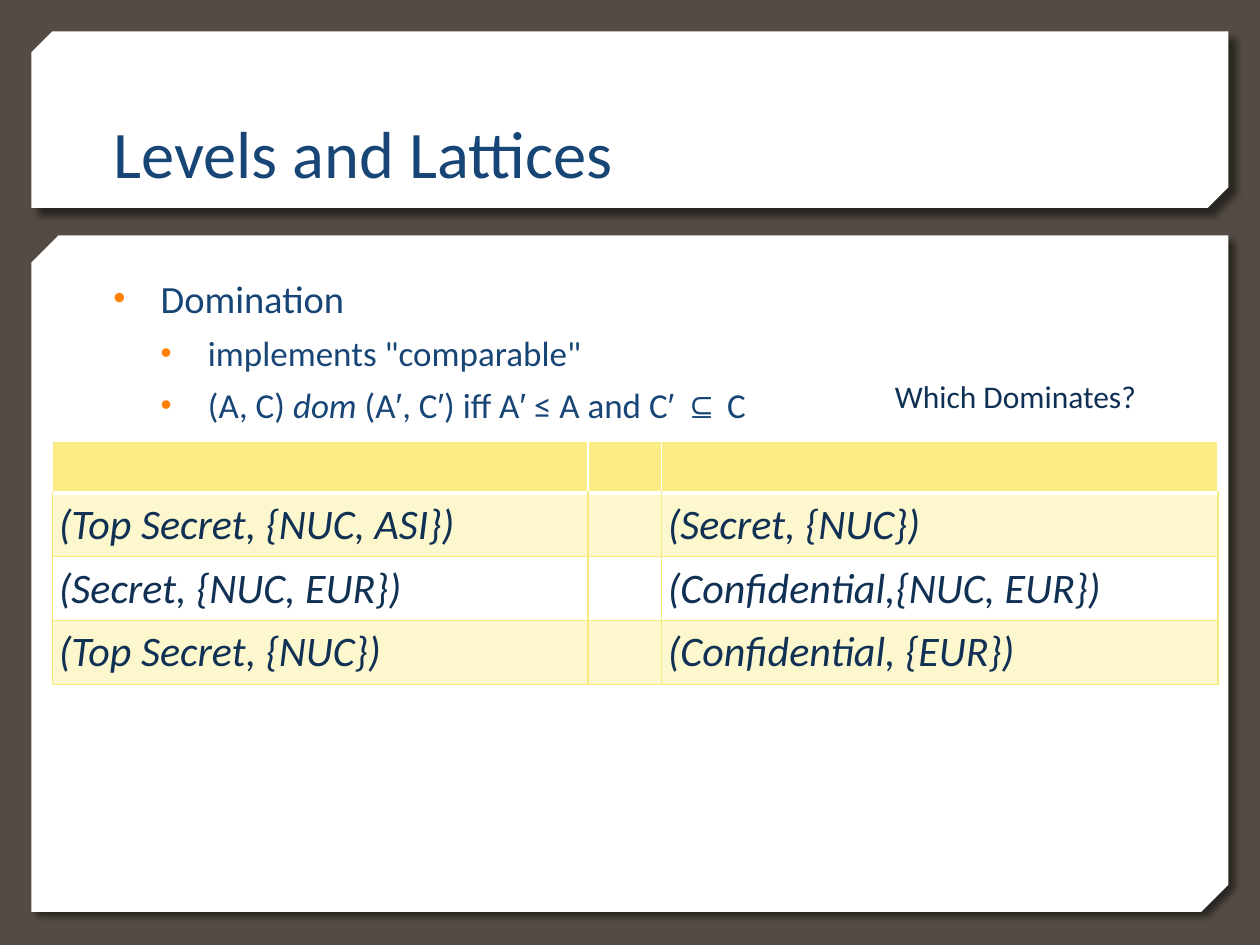
from dataclasses import dataclass
from typing import Any

from lxml import etree
from pptx import Presentation
from pptx.dml.color import RGBColor
from pptx.enum.shapes import MSO_SHAPE
from pptx.enum.text import MSO_ANCHOR, PP_ALIGN
from pptx.oxml.ns import qn
from pptx.util import Pt

SNIPPED = MSO_SHAPE.SNIP_2_DIAG_RECTANGLE
TOP, BOTTOM = MSO_ANCHOR.TOP, MSO_ANCHOR.BOTTOM
LEFT, CENTER = PP_ALIGN.LEFT, PP_ALIGN.CENTER

COLORS = {
    "background": "544C44",
    "panel": "FFFFFF",
    "heading": "174576",
    "text": "103154",
    "bullet": "FF7F01",
    "header": "FBEC85",
    "border": "F8E97F",
    "shadow": "000000",
}


def rgb(name):
    return RGBColor.from_string(COLORS[name])


def child(parent, tag, **attrs):
    return etree.SubElement(parent, qn(tag), {k: str(v) for k, v in attrs.items()})


def write(p, text, size=20, color="heading", font="Calibri", italic=False):
    r = p.add_run()
    r.text = text
    r.font.size = Pt(size)
    r.font.name = font
    r.font.italic = italic
    r.font.color.rgb = rgb(color)


@dataclass
class Deck:
    slide: Any
    inset: float = 3.6

    def panel(self, x, y, w, h, snip):
        sp = self.slide.shapes.add_shape(SNIPPED, Pt(x), Pt(y), Pt(w), Pt(h))
        sp.adjustments[0] = snip / h
        sp.adjustments[1] = 0
        sp.fill.solid()
        sp.fill.fore_color.rgb = rgb("panel")
        sp.line.fill.background()
        sp.shadow.inherit = False
        effects = sp._element.spPr.find(qn("a:effectLst"))
        shadow = child(effects, "a:outerShdw", blurRad=Pt(4), dist=Pt(5),
                       dir=45 * 60000, algn="tl", rotWithShape=0)
        color = child(shadow, "a:srgbClr", val=COLORS["shadow"])
        child(color, "a:alpha", val=50000)

    def box(self, x, y, w, h, anchor=TOP):
        tf = self.slide.shapes.add_textbox(Pt(x), Pt(y), Pt(w), Pt(h)).text_frame
        tf.word_wrap = True
        tf.vertical_anchor = anchor
        tf.margin_left = tf.margin_right = Pt(self.inset)
        tf.margin_top = tf.margin_bottom = Pt(self.inset)
        return tf

    def label(self, text, x, y, w, h, anchor=TOP, align=LEFT, **fmt):
        p = self.box(x, y, w, h, anchor).paragraphs[0]
        p.alignment = align
        write(p, text, **fmt)

    def bullets(self, items, x, y, w, h):
        tf = self.box(x, y, w, h)
        for i, (level, size, runs) in enumerate(items):
            p = tf.add_paragraph() if i else tf.paragraphs[0]
            p.level = level
            p.space_before = Pt(6 if i else 0)
            pPr = p._p.get_or_add_pPr()
            pPr.set("marL", str(Pt(27 * (level + 1))))
            pPr.set("indent", str(Pt(-27)))
            child(child(pPr, "a:buClr"), "a:srgbClr", val=COLORS["bullet"])
            child(pPr, "a:buSzPct", val=90000)
            child(pPr, "a:buFont", typeface="Arial")
            child(pPr, "a:buChar", char="•")
            for text, fmt in runs:
                write(p, text, size=size, **fmt)

    def border(self, cell, side, width, color):
        ln = child(cell._tc.get_or_add_tcPr(), f"a:ln{side}", w=Pt(width))
        child(child(ln, "a:solidFill"), "a:srgbClr", val=COLORS[color])

    def cell_style(self, cell, row):
        cell.margin_left = cell.margin_right = Pt(self.inset)
        cell.margin_top = cell.margin_bottom = Pt(self.inset)
        if row:
            for side in "LR":
                self.border(cell, side, 0.75, "border")
        if row != 1:
            self.border(cell, "T", 0.75, "border")
        else:
            self.border(cell, "T", 2, "panel")
        if row:
            self.border(cell, "B", 0.75, "border")
        else:
            self.border(cell, "B", 2, "panel")
        if row == 2:
            cell.fill.background()
            return
        cell.fill.solid()
        cell.fill.fore_color.rgb = rgb("header")
        if row:
            color = cell._tc.tcPr.find(f"{qn('a:solidFill')}/{qn('a:srgbClr')}")
            child(color, "a:alpha", val=40000)

    def table(self, rows, x, y, widths, heights):
        frame = self.slide.shapes.add_table(len(rows), len(widths), Pt(x), Pt(y),
                                            Pt(sum(widths)), Pt(sum(heights)))
        tbl = frame.table
        for column, width in zip(tbl.columns, widths):
            column.width = Pt(width)
        for i, (row, height) in enumerate(zip(rows, heights)):
            tbl.rows[i].height = Pt(height)
            for j, text in enumerate(row):
                cell = tbl.cell(i, j)
                self.cell_style(cell, i)
                if text:
                    write(cell.text_frame.paragraphs[0], text, size=24,
                          color="text", italic=True)


def main():
    prs = Presentation()
    prs.slide_width, prs.slide_height = Pt(720), Pt(540)
    s = prs.slides.add_slide(prs.slide_layouts[6])
    s.background.fill.solid()
    s.background.fill.fore_color.rgb = rgb("background")
    deck = Deck(s)

    deck.panel(18, 134.5, 684, 386.5, snip=15.5)
    deck.panel(18, 18, 684, 100.8, snip=11.8)
    deck.label("Levels and Lattices", 61.2, 23, 597, 90, anchor=BOTTOM, size=38)

    prime = ("′", {"font": "Arial"})
    rule = [("(A, C) ", {}), ("dom", {"italic": True}), (" (A", {}), prime,
            (", C", {}), prime, (") iff A", {}), prime, (" ≤ A and C", {}),
            ("′ ⊆", {"font": "Arial"}), (" C", {})]
    deck.bullets([
        (0, 22, [("Domination", {})]),
        (1, 20, [('implements "comparable"', {})]),
        (1, 20, rule),
    ], 61.2, 153.4, 597, 315.4)

    deck.table([
        ("", "", ""),
        ("(Top Secret, {NUC, ASI})", "", "(Secret, {NUC})"),
        ("(Secret, {NUC, EUR})", "", "(Confidential,{NUC, EUR})"),
        ("(Top Secret, {NUC})", "", "(Confidential, {EUR})"),
    ], 30, 252.7, (306, 42, 318), (29, 36.5, 36.5, 36.5))
    deck.label("Which Dominates?", 464.4, 211.7, 231.8, 27.4, align=CENTER,
               size=18, color="text")

    prs.save("out.pptx")


if __name__ == "__main__":
    main()
